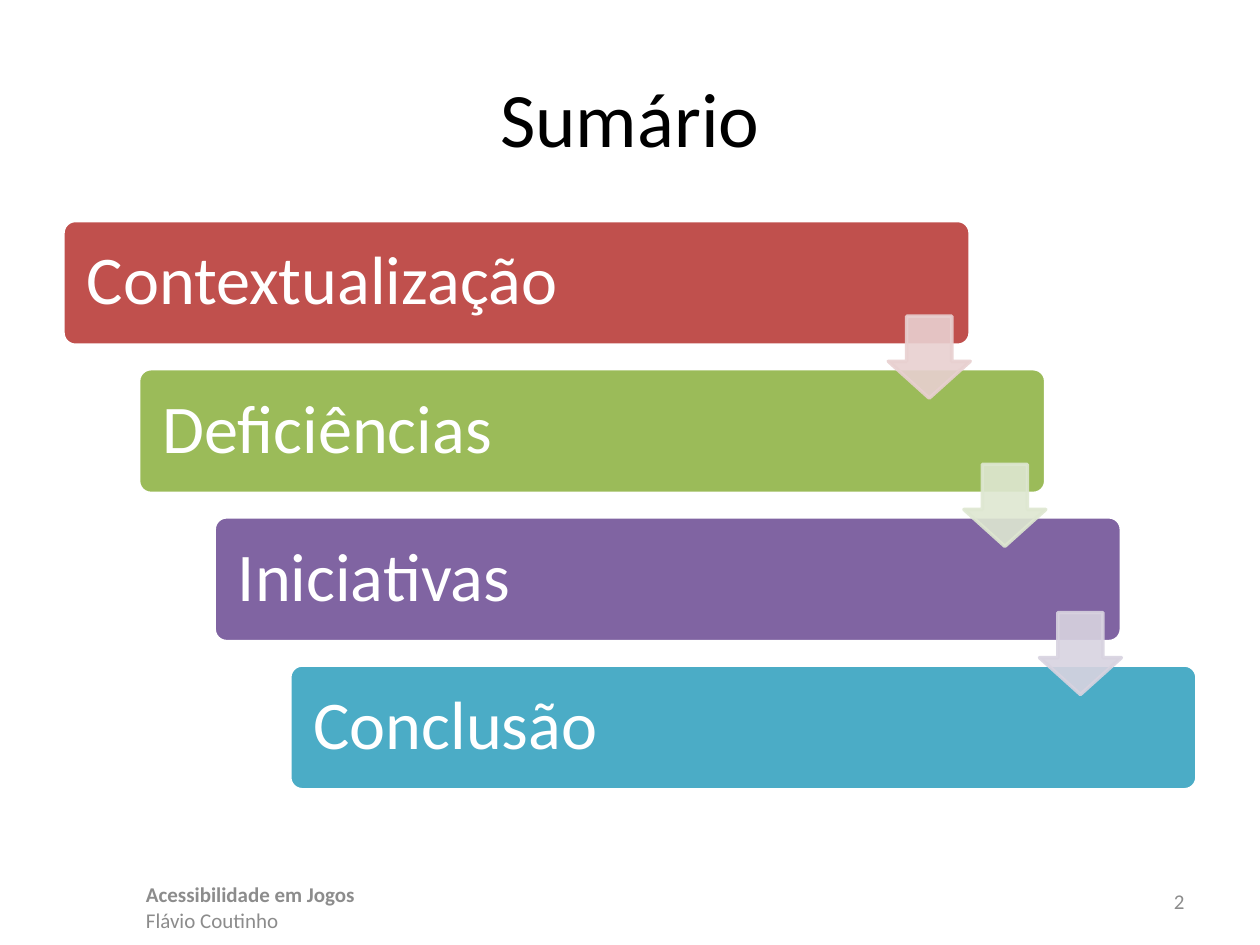
from lxml import etree
from pptx import Presentation
from pptx.dml.color import RGBColor
from pptx.enum import shapes, text
from pptx.oxml.ns import qn
from pptx.util import Inches, Pt

WHITE = RGBColor(0xFF, 0xFF, 0xFF)
BLACK = RGBColor(0, 0, 0)
GRAY = RGBColor(0x8C, 0x8C, 0x8C)
RED, PALE_RED = RGBColor(0xC0, 0x50, 0x4D), RGBColor(0xE8, 0xD0, 0xD0)
GREEN, PALE_GREEN = RGBColor(0x9B, 0xBB, 0x59), RGBColor(0xDE, 0xE7, 0xD1)
PURPLE, PALE_PURPLE = RGBColor(0x80, 0x64, 0xA2), RGBColor(0xD8, 0xD3, 0xE0)
BLUE = RGBColor(0x4B, 0xAC, 0xC6)

TITLE = "Sumário"
# Topic, bar colour, colour of the arrow to the next bar
STEPS = [
    ("Contextualização", RED, PALE_RED),
    ("Deficiências", GREEN, PALE_GREEN),
    ("Iniciativas", PURPLE, PALE_PURPLE),
    ("Conclusão", BLUE, None),
]
FOOTER = [("Acessibilidade em Jogos", True), ("Flávio Coutinho", False)]
PAGE_NUMBER = "2"

BAR_LEFT, BAR_TOP, BAR_WIDTH, BAR_HEIGHT = 0.5, 1.75, 7.2, 0.99
STEP_X, STEP_Y = 0.6, 1.176
ARROW_SIZE = 0.65
ARROW_DROP = 0.76
OPACITY = 90


def write_text(shape, lines, size, color, align=text.PP_ALIGN.LEFT,
               anchor=text.MSO_ANCHOR.MIDDLE, inset=0.1, line_spacing=None):
    """Fill a shape with (text, bold) lines."""
    frame = shape.text_frame
    frame.word_wrap = True
    frame.vertical_anchor = anchor
    frame.margin_left = frame.margin_right = Inches(inset)
    for index, (line, bold) in enumerate(lines):
        paragraph = frame.paragraphs[0] if index == 0 else frame.add_paragraph()
        paragraph.alignment = align
        paragraph.line_spacing = line_spacing
        run = paragraph.add_run()
        run.text = line
        run.font.name = "Calibri"
        run.font.size = Pt(size)
        run.font.bold = bold
        run.font.color.rgb = color


def add_text(slide, box, lines, **text_format):
    shape = slide.shapes.add_textbox(*map(Inches, box))
    write_text(shape, lines, **text_format)


def add_block(slide, preset, box, adjustments, fill, line):
    shape = slide.shapes.add_shape(preset, *map(Inches, box))
    shape.shadow.inherit = False
    for index, value in enumerate(adjustments):
        shape.adjustments[index] = value
    shape.fill.solid()
    shape.fill.fore_color.rgb = fill
    shape.line.color.rgb = line
    shape.line.width = Pt(2)
    return shape


def set_opacity(shape, percent):
    """Apply the opacity to both fill and line."""
    for color in shape._element.spPr.iter(qn("a:srgbClr")):
        etree.SubElement(color, qn("a:alpha")).set("val", str(percent * 1000))


def main():
    presentation = Presentation()
    presentation.slide_width, presentation.slide_height = Inches(10), Inches(7.5)
    slide = presentation.slides.add_slide(presentation.slide_layouts[6])

    add_text(slide, (1.06, 6.95, 5.83, 0.55), FOOTER, size=12, color=GRAY,
             anchor=text.MSO_ANCHOR.TOP)
    add_text(slide, (0.5, 0.3, 9, 1.25), [(TITLE, False)], size=44,
             color=BLACK, align=text.PP_ALIGN.CENTER)

    for index, (topic, color, _) in enumerate(STEPS):
        box = (BAR_LEFT + index * STEP_X, BAR_TOP + index * STEP_Y,
               BAR_WIDTH, BAR_HEIGHT)
        bar = add_block(slide, shapes.MSO_SHAPE.ROUNDED_RECTANGLE, box, [0.1],
                        color, WHITE)
        write_text(bar, [(topic, False)], size=39, color=WHITE, inset=0.16,
                   line_spacing=0.9)

    for index, (_, _, color) in enumerate(STEPS[:-1]):
        right = BAR_LEFT + BAR_WIDTH + index * STEP_X
        box = (right - ARROW_SIZE, BAR_TOP + ARROW_DROP + index * STEP_Y,
               ARROW_SIZE, ARROW_SIZE)
        arrow = add_block(slide, shapes.MSO_SHAPE.DOWN_ARROW, box, [0.55, 0.45],
                          color, color)
        set_opacity(arrow, OPACITY)

    add_text(slide, (7.17, 6.95, 2.33, 0.4), [(PAGE_NUMBER, False)], size=12,
             color=GRAY, align=text.PP_ALIGN.RIGHT)
    presentation.save("out.pptx")


if __name__ == "__main__":
    main()
